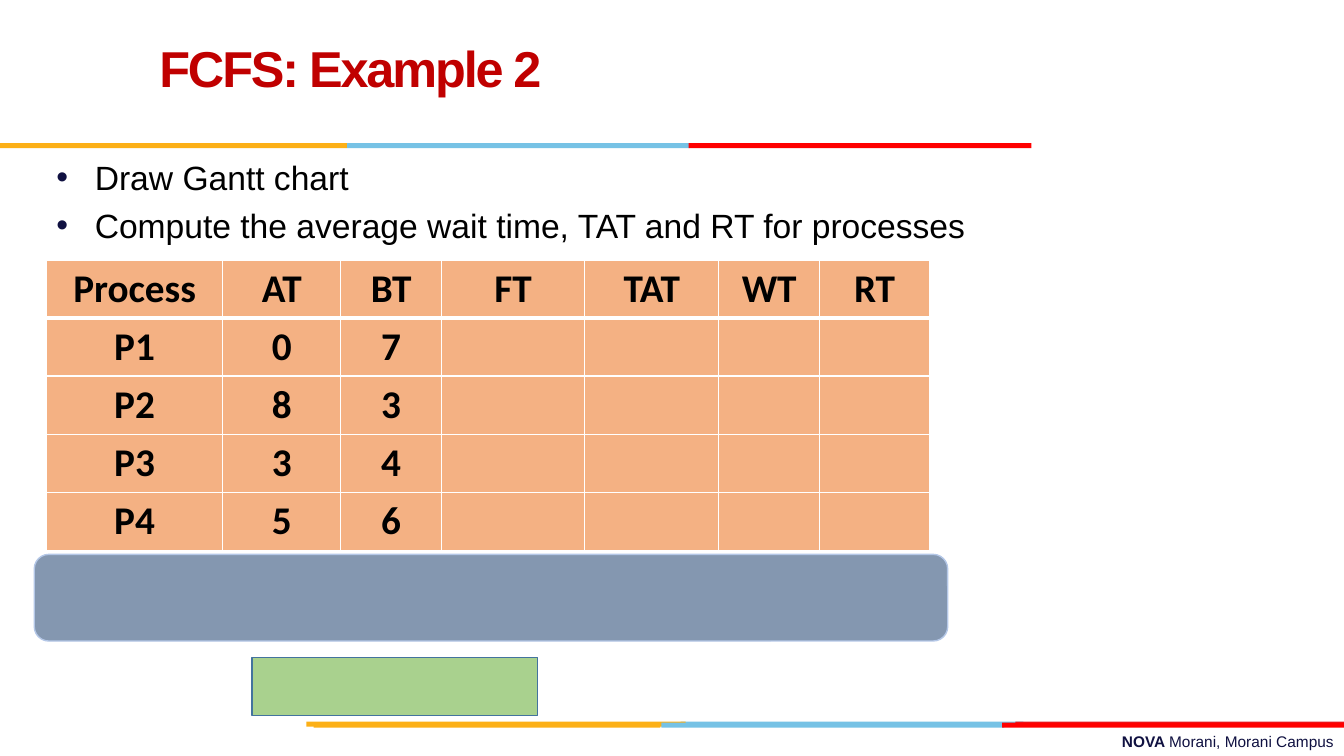
from lxml.etree import SubElement
from pptx import Presentation
from pptx.dml.color import RGBColor
from pptx.enum.shapes import MSO_SHAPE
from pptx.enum.text import MSO_ANCHOR, MSO_AUTO_SIZE, PP_ALIGN
from pptx.oxml import parse_xml
from pptx.oxml.ns import nsdecls, qn
from pptx.util import Inches, Pt

COLORS = {
    "gold": "FCB017", "sky": "76C2E5", "red": "FF0000", "crimson": "E31C24",
    "navy": "101141", "title": "C00000", "black": "000000", "white": "FFFFFF",
    "orange": "F4B183", "slate": "8497B0", "slate_edge": "B4C7E7",
    "green": "A9D18E", "green_edge": "43739E",
}


class SlideBuilder:
    """Hold the style and the current slide, and add elements to it."""

    def __init__(self, page, colors):
        """Keep the page and the colour names."""
        self.page = page
        self.colors = colors

    def color(self, name):
        """Return a named colour."""
        return RGBColor.from_string(self.colors[name])

    def place(self, box, area):
        """Move a box to left, top, width, height in inches."""
        for name, value in zip(("left", "top", "width", "height"), area):
            setattr(box, name, Inches(value))

    def frame(self, box, anchor):
        """Wrap the text of a box at a fixed size."""
        formats = {"word_wrap": True, "auto_size": MSO_AUTO_SIZE.NONE,
                   "vertical_anchor": anchor}
        for name, value in formats.items():
            setattr(box.text_frame, name, value)
        return box.text_frame

    def add_span(self, para, text, size, color, bold=False, font="Arial"):
        """Add a formatted span to a paragraph."""
        span = para.add_run()
        span.text = text
        formats = {"name": font, "size": Pt(size), "bold": bold}
        for name, value in formats.items():
            setattr(span.font, name, value)
        span.font.color.rgb = self.color(color)
        return span

    def title(self, area, text):
        """Fill the title placeholder with tightly spaced text."""
        box = self.page.shapes.title
        self.place(box, area)
        para = self.frame(box, MSO_ANCHOR.MIDDLE).paragraphs[0]
        para.alignment = PP_ALIGN.LEFT
        para.line_spacing = Pt(36)
        span = self.add_span(para, text, 36, "title", bold=True)
        span._r.get_or_add_rPr().set("spc", "-150")

    def bullets(self, area, items):
        """Fill the body placeholder with a bulleted list."""
        box = self.page.placeholders[1]
        self.place(box, area)
        frame = self.frame(box, MSO_ANCHOR.TOP)
        for index, item in enumerate(items):
            para = frame.add_paragraph() if index else frame.paragraphs[0]
            para.space_before = Pt(5.5)
            self.add_span(para, item, 24, "black")
            props = para._p.get_or_add_pPr()
            props.set("marL", str(Inches(0.38)))
            props.set("indent", str(-Inches(0.38)))
            tint = SubElement(props, qn("a:buClr"))
            SubElement(tint, qn("a:srgbClr"), val=self.colors["navy"])
            SubElement(props, qn("a:buChar"), char="•")

    def footer(self, area, spans):
        """Add a right-aligned line of (text, bold) spans."""
        box = self.page.shapes.add_textbox(*map(Inches, area))
        para = self.frame(box, MSO_ANCHOR.TOP).paragraphs[0]
        para.alignment = PP_ALIGN.RIGHT
        for text, bold in spans:
            self.add_span(para, text, 11, "navy", bold)

    def block(self, area, fill, edge=None, kind=MSO_SHAPE.RECTANGLE):
        """Add a filled shape with an optional thin edge."""
        box = self.page.shapes.add_shape(kind, *map(Inches, area))
        box.shadow.inherit = False
        box.fill.solid()
        box.fill.fore_color.rgb = self.color(fill)
        if edge:
            box.line.color.rgb = self.color(edge)
            box.line.width = Pt(1)
        else:
            box.line.fill.background()

    def stripe(self, top, segments):
        """Add a thin band of (left, width, colour) segments."""
        for left, width, fill in segments:
            self.block((left, top, width, 0.05), fill)

    def border(self, cell, widths):
        """Give a cell white borders with a width in points per side."""
        props = cell._tc.get_or_add_tcPr()
        for index, (side, width) in enumerate(widths.items()):
            props.insert(index, parse_xml(
                f'<a:ln{side} {nsdecls("a")} w="{Pt(width)}"><a:solidFill>'
                f'<a:srgbClr val="{self.colors["white"]}"/></a:solidFill></a:ln{side}>'))

    def table(self, left, top, widths, row_height, rows):
        """Add a table whose header has a thick lower border."""
        area = (left, top, sum(widths), row_height * len(rows))
        grid = self.page.shapes.add_table(
            len(rows), len(widths), *map(Inches, area)).table
        for column, width in zip(grid.columns, widths):
            column.width = Inches(width)
        for row_index, values in enumerate(rows):
            grid.rows[row_index].height = Inches(row_height)
            for column_index in range(len(widths)):
                cell = grid.cell(row_index, column_index)
                cell.fill.solid()
                cell.fill.fore_color.rgb = self.color("orange")
                self.border(cell, {"L": 1, "R": 1, "T": 3 if row_index == 1 else 1,
                                   "B": 3 if row_index == 0 else 1})
                if column_index < len(values):
                    para = cell.text_frame.paragraphs[0]
                    para.alignment = PP_ALIGN.CENTER
                    self.add_span(para, values[column_index], 28, "black", True, "Calibri")


def main():
    """Build the deck and save it."""
    deck = Presentation()
    deck.slide_width, deck.slide_height = Inches(13.33), Inches(7.5)
    builder = SlideBuilder(deck.slides.add_slide(deck.slide_layouts[1]), COLORS)

    builder.footer((4.78, 7.21, 8.55, 0.29),
                   [("NOVA ", True), ("Morani, Morani Campus", False)])
    builder.stripe(7.16, [(6.75, 3.4, "sky"), (10.07, 3.26, "crimson"),
                          (3.04, 3.76, "gold")])
    builder.stripe(7.17, [(6.56, 3.4, "sky"), (3.11, 3.44, "gold"),
                          (9.94, 3.39, "red")])
    builder.stripe(1.42, [(3.44, 3.4, "sky"), (0, 3.44, "gold"), (6.83, 3.4, "red")])

    builder.title((1.48, 0.09, 7.92, 1.25), "FCFS: Example 2")
    builder.bullets((0.46, 1.51, 9.33, 0.99), [
        "Draw Gantt chart",
        "Compute the average wait time, TAT and RT for processes",
    ])
    builder.table(0.46, 2.58, [1.75, 1.17, 1, 1.42, 1.33, 1, 1.09], 0.57, [
        ("Process", "AT", "BT", "FT", "TAT", "WT", "RT"),
        ("P1", "0", "7"),
        ("P2", "8", "3"),
        ("P3", "3", "4"),
        ("P4", "5", "6"),
    ])
    builder.block((0.34, 5.5, 9.06, 0.86), "slate", "slate_edge",
                  MSO_SHAPE.ROUNDED_RECTANGLE)
    builder.block((2.5, 6.52, 2.83, 0.58), "green", "green_edge")
    deck.save("out.pptx")


main()
